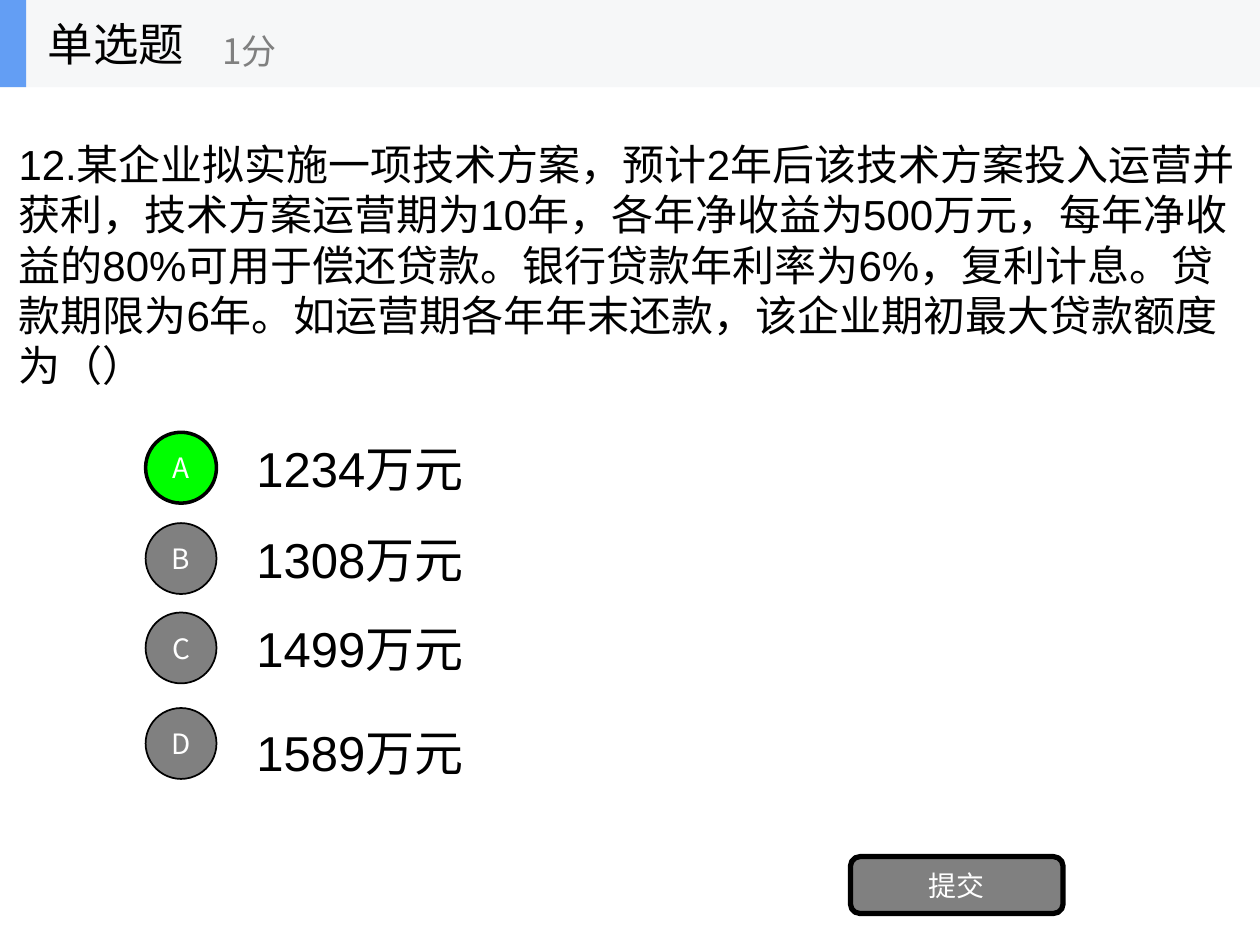
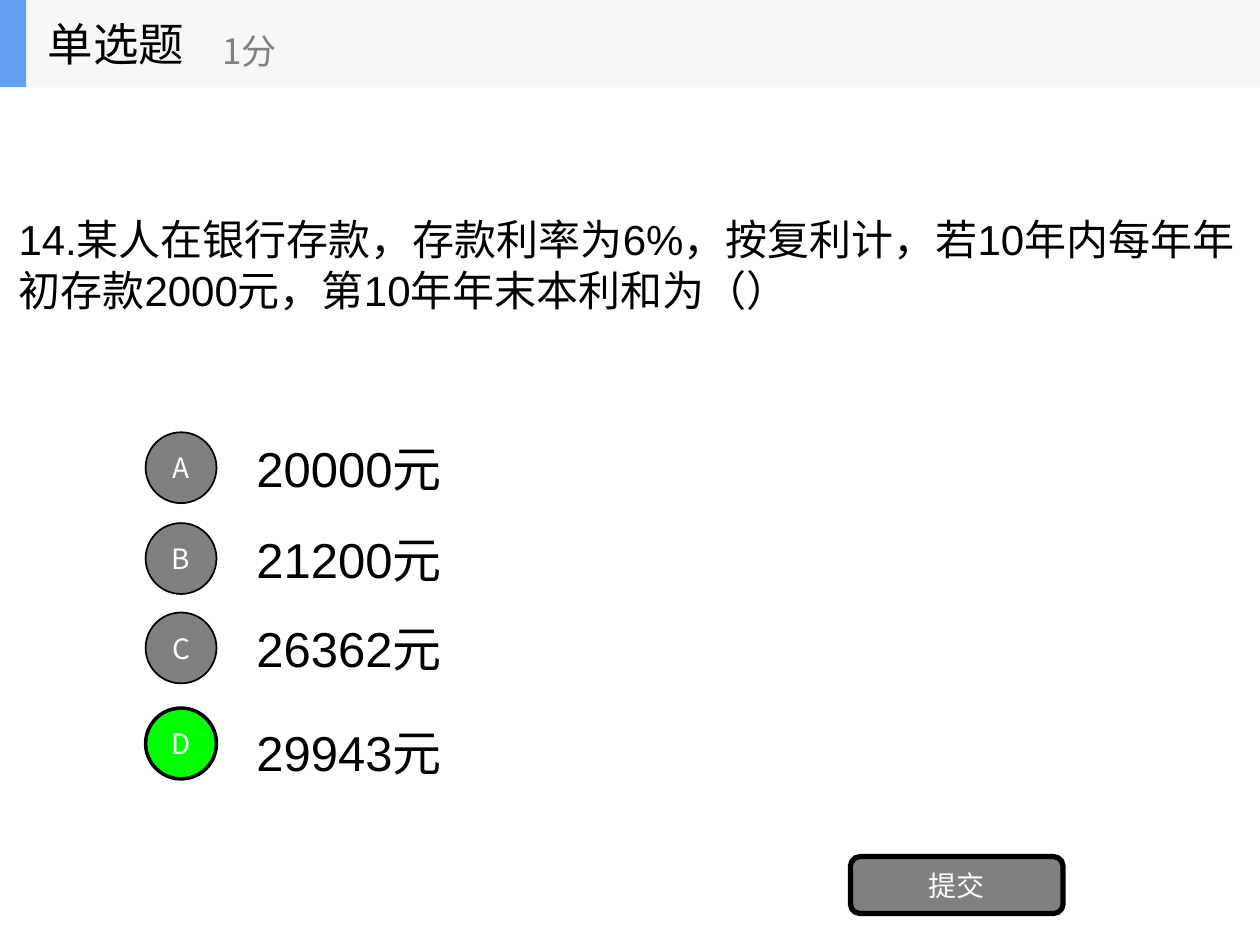
"""Build two single-choice quiz slides with a shared header and submit button."""
from lxml import etree
from pptx import Presentation
from pptx import util as u
from pptx.dml.color import RGBColor
from pptx.enum import lang, shapes, text
from pptx.oxml.ns import qn

COLOURS = {
    "ink": "000000",
    "paper": "FFFFFF",
    "grey": "808080",
    "correct": "00FF00",
    "band": "F6F7F8",
    "accent": "639EF4",
}
CJK_FONT = "Noto Sans CJK SC"
LATIN_FONT = "Arial"
HEADER_HEIGHT = 49.75
BADGE_SIZE = 40.5
BADGE_TOPS = (247, 298.9, 350, 404.6)
ANSWER_TOPS = (242, 293.9, 345, 404.6)
FRAME_FORMAT = {
    "word_wrap": True,
    "auto_size": text.MSO_AUTO_SIZE.NONE,
    "vertical_anchor": text.MSO_ANCHOR.MIDDLE,
    "margin_left": u.Pt(7.2),
    "margin_right": u.Pt(7.2),
    "margin_top": u.Pt(3.6),
    "margin_bottom": u.Pt(3.6),
}
QUESTIONS = (
    {
        "wording": "12.某企业拟实施一项技术方案，预计2年后该技术方案投入运营并获利，"
                   "技术方案运营期为10年，各年净收益为500万元，每年净收益的80%可用于偿还贷款。"
                   "银行贷款年利率为6%，复利计息。贷款期限为6年。"
                   "如运营期各年年末还款，该企业期初最大贷款额度为（）",
        "answers": ("1234万元", "1308万元", "1499万元", "1589万元"),
        "correct": "A",
    },
    {
        "wording": "14.某人在银行存款，存款利率为6%，按复利计，"
                   "若10年内每年年初存款2000元，第10年年末本利和为（）",
        "answers": ("20000元", "21200元", "26362元", "29943元"),
        "correct": "D",
    },
)


def colour(name):
    """Return the named colour."""
    return RGBColor.from_string(COLOURS[name])


def apply(target, values):
    """Set each attribute in values on the target."""
    for name, value in values.items():
        setattr(target, name, value)


def write(box, wording, size, ink="ink", font=CJK_FONT, align=text.PP_ALIGN.LEFT):
    """Put one formatted paragraph into a box."""
    apply(box.text_frame, FRAME_FORMAT)
    para = box.text_frame.paragraphs[0]
    para.alignment = align
    span = para.add_run()
    span.text = wording
    apply(span.font, {
        "name": font,
        "size": u.Pt(size),
        "language_id": lang.MSO_LANGUAGE_ID.SIMPLIFIED_CHINESE,
    })
    span.font.color.rgb = colour(ink)
    latin = span.font._element.find(qn("a:latin"))
    east_asian = etree.Element(qn("a:ea"), typeface=CJK_FONT)
    latin.addnext(east_asian)


def add_text(page, place, wording, size, **style):
    """Add a text box at a place given in points."""
    box = page.shapes.add_textbox(*map(u.Pt, place))
    write(box, wording, size, **style)


def add_block(page, kind, place, fill, line_width=0):
    """Add a filled shape, outlined when a line width is given."""
    block = page.shapes.add_shape(kind, *map(u.Pt, place))
    block.shadow.inherit = False
    block.fill.solid()
    block.fill.fore_color.rgb = colour(fill)
    if line_width:
        block.line.width = u.Pt(line_width)
        block.line.color.rgb = colour("ink")
    else:
        block.line.fill.background()
    return block


def add_button(page, kind, place, label, fill="grey", line_width=1):
    """Add an outlined shape with a centred white label."""
    button = add_block(page, kind, place, fill, line_width)
    write(button, label, 16, ink="paper", align=text.PP_ALIGN.CENTER)


def add_header(page):
    """Add the header band, the slide title and the score."""
    rectangle = shapes.MSO_SHAPE.RECTANGLE
    add_block(page, rectangle, (0, 0, 720, HEADER_HEIGHT), "band")
    add_block(page, rectangle, (0, 0, 15, HEADER_HEIGHT), "accent")
    title = page.shapes.title
    apply(title, {
        "left": u.Pt(20.2),
        "top": u.Pt(0),
        "width": u.Pt(150),
        "height": u.Pt(HEADER_HEIGHT),
    })
    page.shapes._spTree.append(title._element)
    write(title, "单选题", 26)
    add_text(page, (120, 8.7, 180, 40.5), "1分", 20, ink="grey")


def add_options(page, answers, correct):
    """Add the answers and their lettered badges, marking the correct one."""
    for top, answer in zip(ANSWER_TOPS, answers):
        add_text(page, (139.5, top, 504, 50.6), answer, 28, font=LATIN_FONT)
    for top, letter in zip(BADGE_TOPS, "ABCD"):
        fill, line_width = ("correct", 2) if letter == correct else ("grey", 1)
        place = (83.2, top, BADGE_SIZE, BADGE_SIZE)
        add_button(page, shapes.MSO_SHAPE.OVAL, place, letter, fill, line_width)


def add_question(deck, question):
    """Add one complete quiz slide."""
    page = deck.slides.add_slide(deck.slide_layouts[5])
    page.background.fill.solid()
    page.background.fill.fore_color.rgb = colour("paper")
    add_text(page, (3.5, 88, 710, 126), question["wording"], 24, font=LATIN_FONT)
    add_options(page, question["answers"], question["correct"])
    add_button(page, shapes.MSO_SHAPE.ROUNDED_RECTANGLE,
               (486, 489.5, 121.5, 32.5), "提交", line_width=3)
    add_header(page)


def main():
    """Build and save the deck."""
    deck = Presentation()
    apply(deck, {"slide_width": u.Pt(720), "slide_height": u.Pt(540)})
    for question in QUESTIONS:
        add_question(deck, question)
    deck.save("out.pptx")


if __name__ == "__main__":
    main()
